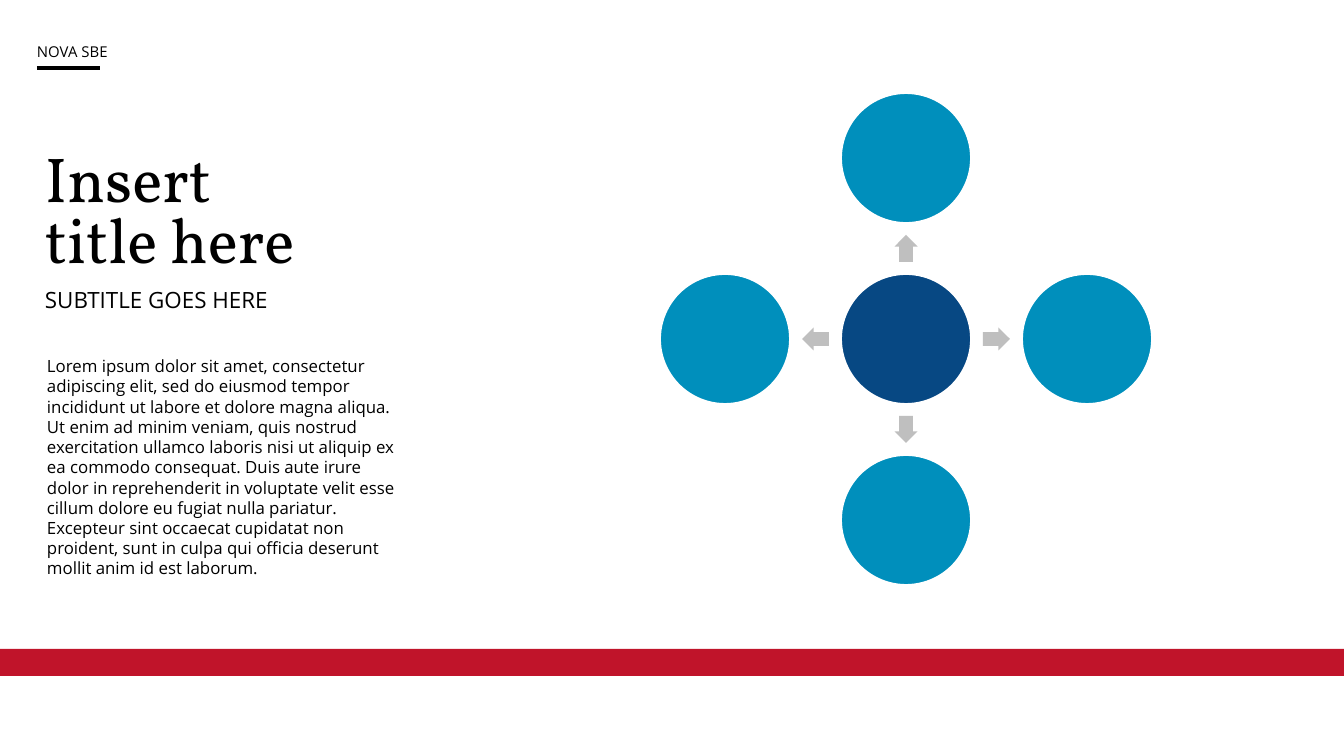
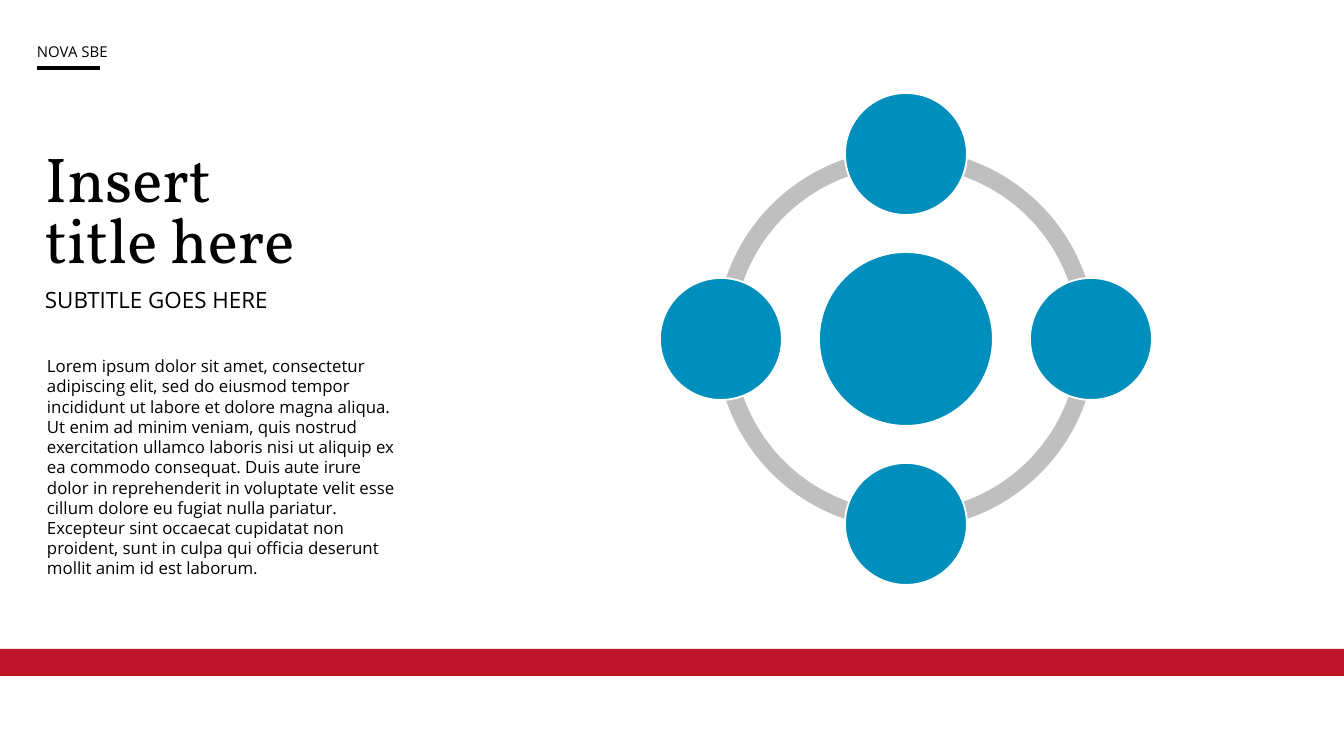
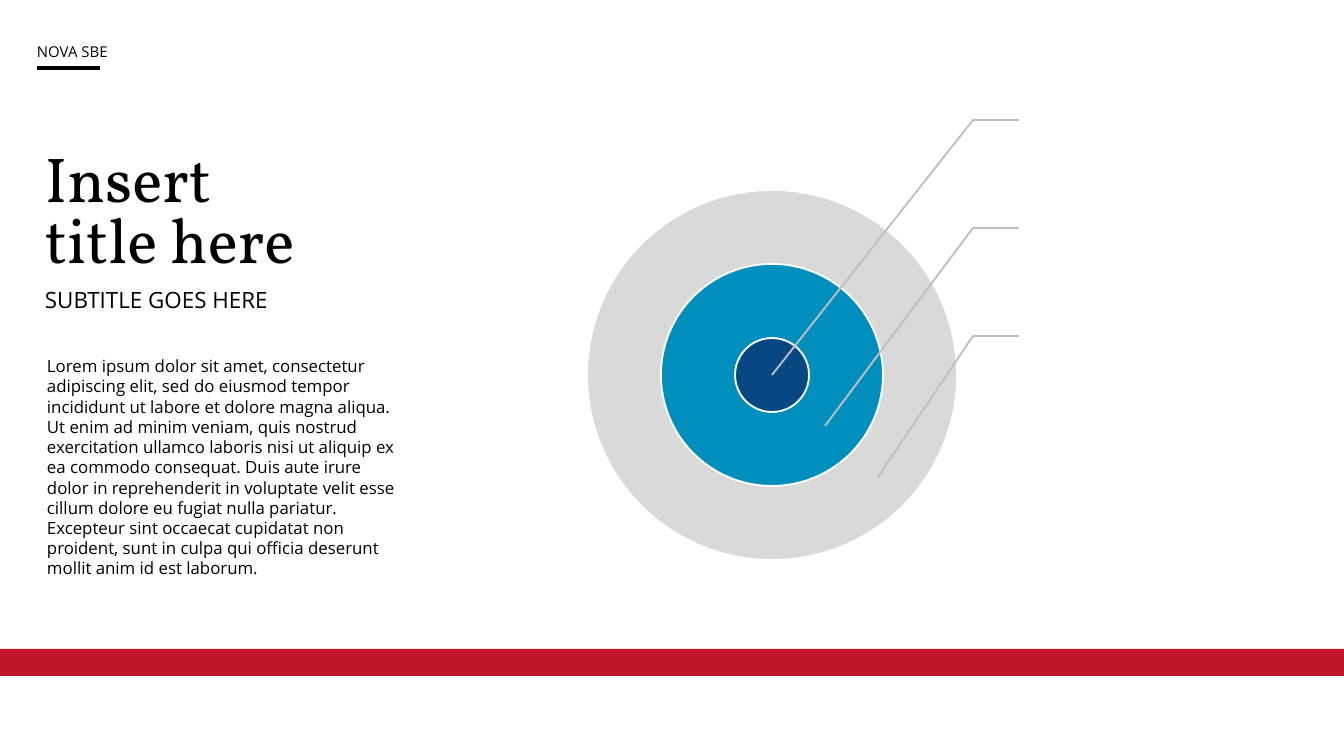
from math import cos, radians, sin

from lxml import etree
from pptx import Presentation
from pptx import util as u
from pptx.dml.color import RGBColor
from pptx.enum import shapes, text
from pptx.oxml.ns import qn

PX = u.Inches(10) / 1344
BLACK, WHITE, RED = "000000", "FFFFFF", "C0142A"
NAVY, BLUE, GREY, PALE = "074883", "008FBC", "BFBFBF", "D9D9D9"
SANS, SERIF = "Open Sans", "Vollkorn"
ANGLES = (270, 0, 90, 180)
CROSS_BOX = (660, 93, 492, 492)
TARGET_BOX = (587, 190, 370, 370)
BODY = (
    "Lorem ipsum dolor sit amet, consectetur adipiscing elit, sed do eiusmod "
    "tempor incididunt ut labore et dolore magna aliqua. Ut enim ad minim "
    "veniam, quis nostrud exercitation ullamco laboris nisi ut aliquip ex ea "
    "commodo consequat. Duis aute irure dolor in reprehenderit in voluptate "
    "velit esse cillum dolore eu fugiat nulla pariatur. Excepteur sint occaecat "
    "cupidatat non proident, sunt in culpa qui officia deserunt mollit anim id "
    "est laborum."
)


def px(n):
    """Turn pixels into EMU."""
    return u.Emu(round(n * PX))


def rgb(color):
    """Turn a hex string into a colour."""
    return RGBColor.from_string(color)


def add_shape(parent, kind, box, fill, line=None):
    """Add a flat preset shape."""
    sp = parent.add_shape(kind, *map(px, box))
    sp.shadow.inherit = False
    sp.fill.solid()
    sp.fill.fore_color.rgb = rgb(fill)
    if line:
        sp.line.color.rgb = rgb(line)
        sp.line.width = u.Pt(1)
    else:
        sp.line.fill.background()
    return sp


def add_centred(parent, kind, cx, cy, w, h, fill, line=None):
    """Add a shape placed by its centre."""
    return add_shape(parent, kind, (cx - w / 2, cy - h / 2, w, h), fill, line)


def add_circle(parent, cx, cy, size, fill):
    """Add a circle with a white outline."""
    return add_centred(parent, shapes.MSO_SHAPE.OVAL, cx, cy, size, size, fill, WHITE)


def add_line(parent, x1, y1, x2, y2, color, width):
    """Add a straight line without a shadow."""
    ln = parent.add_connector(shapes.MSO_CONNECTOR.STRAIGHT, *map(px, (x1, y1, x2, y2)))
    ln.line.color.rgb = rgb(color)
    ln.line.width = u.Pt(width)
    etree.SubElement(ln._element.spPr, qn("a:effectLst"))
    return ln


def add_text(s, box, lines, size, font=SANS, spacing=None, inset=(10, 5)):
    """Add a text box holding one paragraph with line breaks."""
    tf = s.shapes.add_textbox(*map(px, box)).text_frame
    tf.word_wrap = True
    tf.margin_left = tf.margin_right = px(inset[0])
    tf.margin_top = tf.margin_bottom = px(inset[1])
    p = tf.paragraphs[0]
    if spacing:
        p.line_spacing = spacing
    for i, line in enumerate(lines):
        if i:
            p.add_line_break()
        r = p.add_run()
        r.text = line
        r.font.name = font
        r.font.size = u.Pt(size)
        r.font.color.rgb = rgb(BLACK)
    return tf


def add_base(prs):
    """Add a slide with the band, tag, title, subtitle and body text."""
    s = prs.slides.add_slide(prs.slide_layouts[6])
    add_shape(s.shapes, shapes.MSO_SHAPE.RECTANGLE, (0, 649, 1344, 27), RED)
    add_line(s.shapes, 37, 68, 100, 68, BLACK, 2)
    add_text(s, (35, 286, 431, 26), ["SUBTITLE GOES HERE"], 12, spacing=0.8)
    add_text(s, (37, 351, 370, 195), [BODY], 9)
    add_text(s, (35, 149, 485, 126), ["Insert ", "title here"], 34, SERIF, 0.8)
    tag = add_text(s, (35, 40, 363, 23), ["NOVA SBE"], 8, inset=(2, 2))
    tag.vertical_anchor = text.MSO_ANCHOR.MIDDLE
    tag.auto_size = text.MSO_AUTO_SIZE.SHAPE_TO_FIT_TEXT
    return s


def polar(cx, cy, radius, angle):
    """Return the point at an angle clockwise from the right."""
    a = radians(angle)
    return cx + radius * cos(a), cy + radius * sin(a)


def add_radial(s, box, size=130):
    """Draw a hub with arrows out to four circles."""
    x, y, w, h = box
    cx, cy, orbit = x + w / 2, y + h / 2, (w - size) / 2
    grp = s.shapes.add_group_shape().shapes
    add_circle(grp, cx, cy, size, NAVY)
    for angle in ANGLES:
        arrow = add_centred(grp, shapes.MSO_SHAPE.RIGHT_ARROW,
                            *polar(cx, cy, orbit / 2, angle), 27, 23, GREY)
        arrow.adjustments[0], arrow.adjustments[1] = 0.6, 0.5
        arrow.rotation = angle
        add_circle(grp, *polar(cx, cy, orbit, angle), size, BLUE)


def add_ring(s, box, size=122, hub=174, ring=380):
    """Draw a hub inside a ring of four arcs and four circles."""
    x, y, w, h = box
    cx, cy, orbit = x + w / 2, y + h / 2, (w - size) / 2
    grp = s.shapes.add_group_shape().shapes
    for start in (180, 90, 0, 270):
        arc = add_centred(grp, shapes.MSO_SHAPE.BLOCK_ARC, cx, cy, ring, ring, GREY)
        arc.adjustments[0] = start * 0.6
        arc.adjustments[1] = (start + 90) % 360 * 0.6
        arc.adjustments[2] = 0.046
    add_circle(grp, cx, cy, hub, BLUE)
    for angle in ANGLES:
        add_circle(grp, *polar(cx, cy, orbit, angle), size, BLUE)


def add_target(s, box):
    """Draw three nested discs with leader lines."""
    x, y, w, h = box
    cx, cy = x + w / 2, y + h / 2
    elbow, end = x + 386, x + 432
    grp = s.shapes.add_group_shape().shapes
    for share, fill in ((5, PALE), (3, BLUE), (1, NAVY)):
        add_circle(grp, cx, cy, w * share / 5, fill)
    for i in range(3):
        level = y - 70 + 108 * i
        add_line(grp, elbow, level, end, level, GREY, 1)
        add_line(grp, elbow, level, cx + 53 * i, cy + 51 * i, GREY, 1)


def main():
    """Build the three slides."""
    prs = Presentation()
    prs.slide_width, prs.slide_height = px(1344), px(756)
    for draw, box in ((add_radial, CROSS_BOX), (add_ring, CROSS_BOX),
                      (add_target, TARGET_BOX)):
        draw(add_base(prs), box)
    prs.save("out.pptx")


if __name__ == "__main__":
    main()
